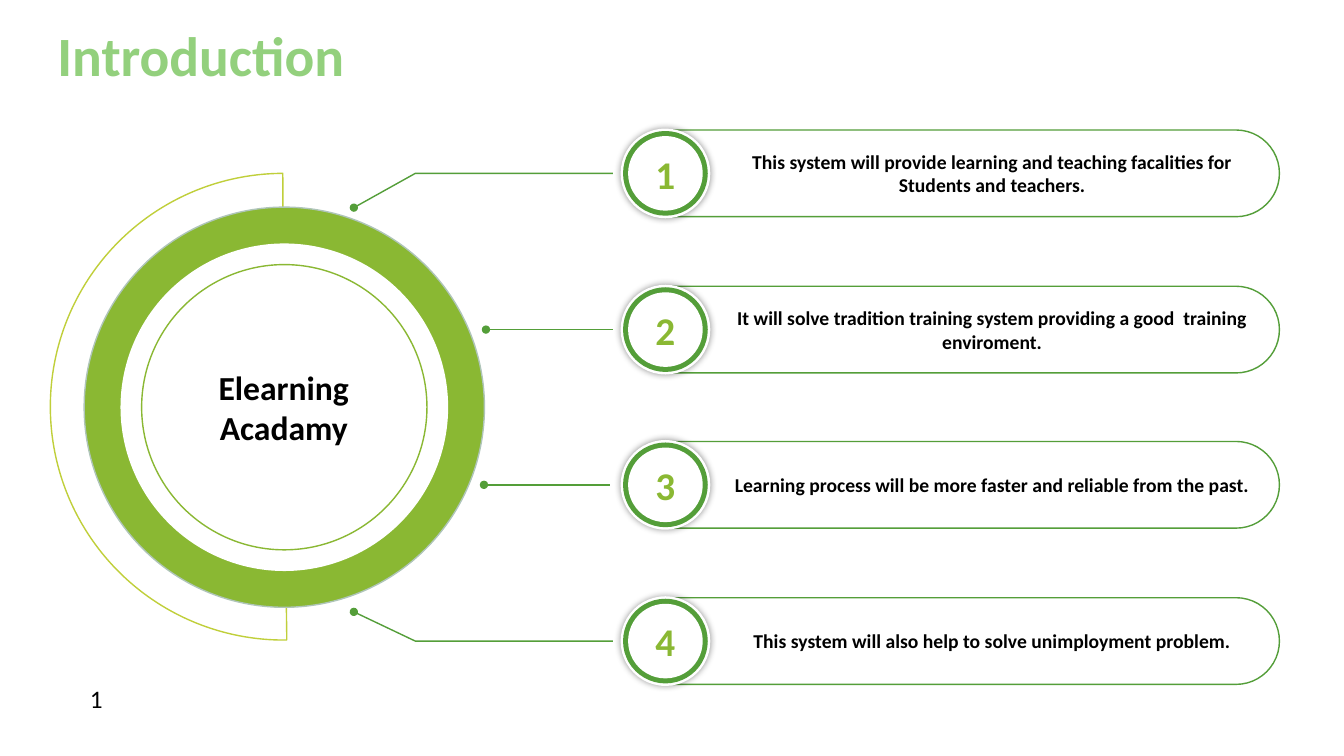
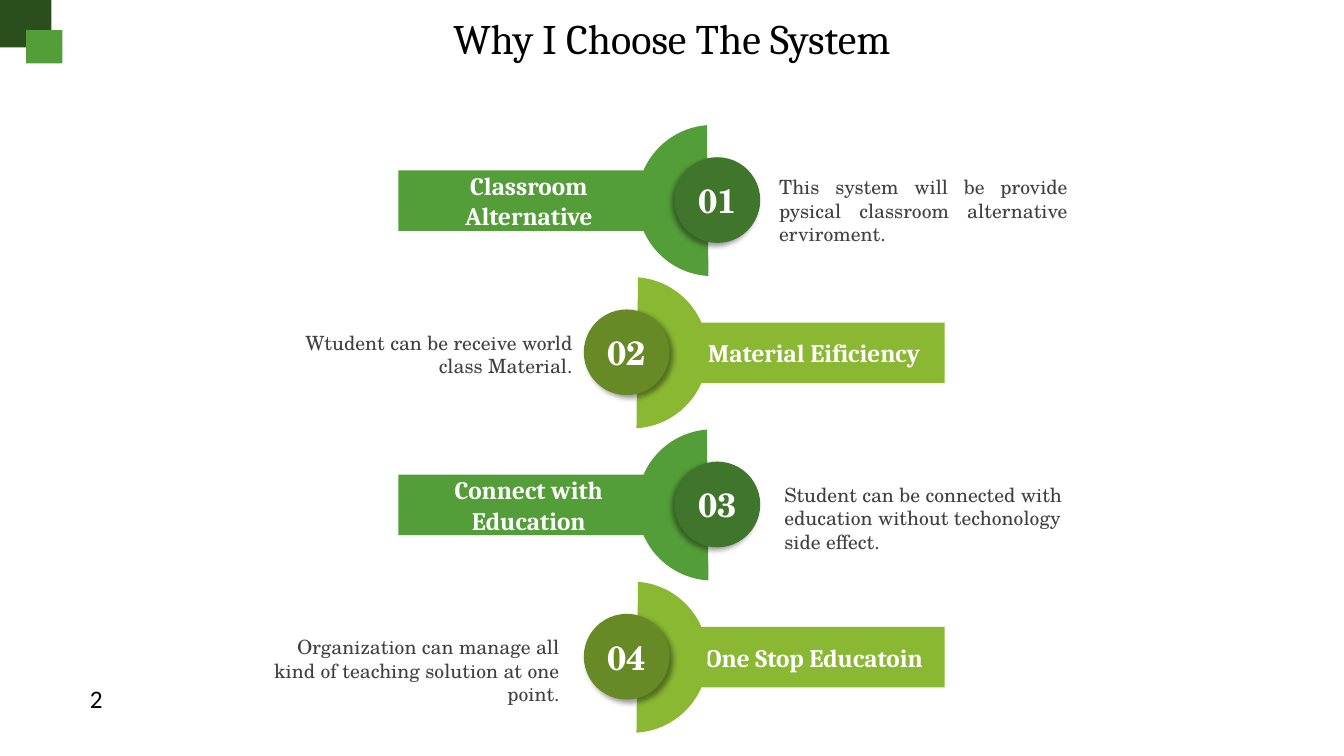
import lxml.etree
import pptx
import pptx.dml.color
import pptx.enum.shapes
import pptx.enum.text
import pptx.oxml.ns
import pptx.util

RGBColor = pptx.dml.color.RGBColor
SHAPE = pptx.enum.shapes.MSO_SHAPE
ALIGN = pptx.enum.text.PP_ALIGN
ANCHOR = pptx.enum.text.MSO_ANCHOR

WHITE = RGBColor(0xFF, 0xFF, 0xFF)
BLACK = RGBColor(0x00, 0x00, 0x00)
GREY = RGBColor(0x40, 0x40, 0x40)
GREEN = RGBColor(0x54, 0x9E, 0x39)
DARK_GREEN = RGBColor(0x3F, 0x76, 0x2B)
DEEP_GREEN = RGBColor(0x2A, 0x4F, 0x1C)
PALE_GREEN = RGBColor(0x93, 0xD0, 0x7D)
LIME = RGBColor(0x8A, 0xB8, 0x33)
DARK_LIME = RGBColor(0x67, 0x8A, 0x26)
YELLOW_GREEN = RGBColor(0xC0, 0xCF, 0x3A)
GREY_GREEN = RGBColor(0xAF, 0xC5, 0xB9)

SANS, SERIF, SCHOOL = "Calibri", "Cambria", "TeX Gyre Schola"
TITLE_ONLY = 5

GOALS = [
    "This system will provide learning and teaching facalities for Students and teachers.",
    "It will solve tradition training system providing a good  training enviroment.",
    "Learning process will be more faster and reliable from the past.",
    "This system will also help to solve unimployment problem.",
]
REASONS = [
    ("Classroom Alternative",
     "This system will be provide pysical classroom alternative erviroment.",
     (763, 169, 306, 57), ALIGN.JUSTIFY),
    ("Material Eificiency", "Wtudent can be receive world class Material.",
     (286, 323, 292, 57), ALIGN.RIGHT),
    ("Connect with Education",
     "Student can be connected with education without techonology side effect.",
     (768, 474, 322, 81), ALIGN.LEFT),
    ("One Stop Educatoin",
     "Organization can manage all kind of teaching solution at one point.",
     (262, 625, 303, 57), ALIGN.RIGHT),
]


def px(n):
    return pptx.util.Emu(n * 9144)


def box(*lengths):
    return [px(n) for n in lengths]


def write(tf, text, size=18, font=SANS, color=BLACK, bold=False,
          align=ALIGN.CENTER, anchor=ANCHOR.MIDDLE, spacing=None):
    tf.word_wrap = True
    tf.auto_size = pptx.enum.text.MSO_AUTO_SIZE.NONE
    tf.vertical_anchor = anchor
    for i, line in enumerate(text.split("\n")):
        p = tf.add_paragraph() if i else tf.paragraphs[0]
        p.alignment = align
        p.line_spacing = spacing
        r = p.add_run()
        r.text = line
        r.font.size = pptx.util.Pt(size)
        r.font.name = font
        r.font.bold = bold
        r.font.color.rgb = color


def add_child(parent, tag, **attrs):
    return lxml.etree.SubElement(parent, pptx.oxml.ns.qn(tag), attrs)


def add_shadow(sp, blur, dist=0, angle=0):
    effects = sp.element.spPr.find(pptx.oxml.ns.qn("a:effectLst"))
    shadow = add_child(effects, "a:outerShdw", blurRad=str(pptx.util.Pt(blur)),
                       dist=str(pptx.util.Pt(dist)), dir=str(angle * 60000),
                       algn="ctr", rotWithShape="0")
    add_child(add_child(shadow, "a:srgbClr", val=str(BLACK)), "a:alpha", val="40000")


def add_shape(slide, kind, at, fill=None, line=None, angles=()):
    sp = slide.shapes.add_shape(kind, *box(*at))
    sp.shadow.inherit = False
    if fill is None:
        sp.fill.background()
    else:
        sp.fill.solid()
        sp.fill.fore_color.rgb = fill
    if line is None:
        sp.line.fill.background()
    else:
        sp.line.color.rgb = line
        sp.line.width = pptx.util.Pt(1)
    for i, angle in enumerate(angles):
        sp.adjustments[i] = angle * 0.6
    return sp


def add_disc(slide, cx, cy, size, fill=None, line=None):
    at = (cx - size / 2, cy - size / 2, size, size)
    return add_shape(slide, SHAPE.OVAL, at, fill, line)


def add_text(slide, at, text, **style):
    tb = slide.shapes.add_textbox(*box(*at))
    write(tb.text_frame, text, **style)


def style_leader(sp):
    sp.line.color.rgb = GREEN
    sp.line.width = pptx.util.Pt(1)
    add_child(sp.line._get_or_add_ln(), "a:headEnd", type="oval")


def add_bent_leader(slide, start, *points):
    builder = slide.shapes.build_freeform(*box(*start), scale=1.0)
    builder.add_line_segments([box(*point) for point in points], close=False)
    sp = builder.convert_to_shape()
    sp.shadow.inherit = False
    sp.fill.background()
    style_leader(sp)


def add_straight_leader(slide, x1, x2, y):
    kind = pptx.enum.shapes.MSO_CONNECTOR.STRAIGHT
    cxn = slide.shapes.add_connector(kind, *box(x1, y, x2, y))
    style_leader(cxn)
    add_child(cxn.element.spPr, "a:effectLst")


def add_page_number(slide, number, width):
    table = slide.shapes.add_table(1, 1, *box(79, 674, width, 41)).table
    table.first_row = table.horz_banding = False
    cell = table.cell(0, 0)
    cell.fill.background()
    write_cell = cell.text_frame.paragraphs[0]
    r = write_cell.add_run()
    r.text = str(number)
    r.font.size = pptx.util.Pt(18)
    r.font.name = SANS
    r.font.color.rgb = BLACK


def add_slide(prs, title, at, number, number_width, **style):
    slide = prs.slides.add_slide(prs.slide_layouts[TITLE_ONLY])
    sp = slide.shapes.title
    sp.left, sp.top, sp.width, sp.height = box(*at)
    write(sp.text_frame, title, **style)
    add_page_number(slide, number, number_width)
    return slide


def add_hub(slide):
    cx, cy = 282, 404
    add_shape(slide, SHAPE.PIE, (50, 172, 463, 463), WHITE, YELLOW_GREEN, (89.25, 269.77))
    add_disc(slide, cx, cy, 397, LIME, GREY_GREEN)
    add_disc(slide, cx, cy, 325, WHITE)
    add_disc(slide, cx, cy, 283, None, LIME)
    add_text(slide, (153, 358, 257, 91), "Elearning\nAcadamy", size=24, bold=True)


def add_goal(slide, number, text, cy):
    sp = add_shape(slide, SHAPE.ROUNDED_RECTANGLE, (626, cy - 43, 643, 86), WHITE, GREEN)
    sp.adjustments[0] = 0.5
    sp.text_frame.margin_left = px(83)
    write(sp.text_frame, text, size=14, bold=True)
    cx = 660
    add_shadow(add_disc(slide, cx, cy, 89, WHITE), 5)
    add_disc(slide, cx, cy, 84, GREEN)
    sp = add_disc(slide, cx, cy, 74, WHITE)
    write(sp.text_frame, str(number), size=28, color=LIME, bold=True)


def add_reason(slide, i, label, text, at, align):
    dy = 151 * i
    if i % 2 == 0:
        bar_x, chord_x, disc_x, shadow_angle = 395, 632, 669, 135
        fill, disc_fill, angles = GREEN, DARK_GREEN, (93.31, 265.55)
    else:
        bar_x, chord_x, disc_x, shadow_angle = 678, 552, 579, 45
        fill, disc_fill, angles = LIME, DARK_LIME, (274.45, 86.69)
    bar = add_shape(slide, SHAPE.RECTANGLE, (bar_x, 169 + dy, 259, 60), fill)
    write(bar.text_frame, label, font=SERIF, color=WHITE, bold=True)
    add_shape(slide, SHAPE.CHORD, (chord_x, 124 + dy, 150, 150), fill, angles=angles)
    disc = add_shape(slide, SHAPE.OVAL, (disc_x, 156 + dy, 85, 85), disc_fill)
    add_shadow(disc, 4, 3, shadow_angle)
    write(disc.text_frame, f"{i + 1:02}", size=24, font=SCHOOL, color=WHITE, bold=True)
    add_text(slide, at, text, size=14, font=SCHOOL, color=GREY,
             align=align, anchor=ANCHOR.TOP)


def build_introduction(prs):
    slide = add_slide(prs, "Introduction", (47, 33, 1209, 58), 1, 26, size=39.6,
                      color=PALE_GREEN, bold=True, align=ALIGN.LEFT, spacing=0.7)
    add_hub(slide)
    rows = [172 + round(i * 464 / 3) for i in range(len(GOALS))]
    for number, (text, cy) in enumerate(zip(GOALS, rows), 1):
        add_goal(slide, number, text, cy)
    for start_y, cy in ((206, rows[0]), (607, rows[3])):
        add_bent_leader(slide, (351, start_y), (412, cy), (608, cy))
    add_straight_leader(slide, 482, 608, rows[1])
    add_straight_leader(slide, 480, 605, rows[2])


def build_reasons(prs):
    slide = add_slide(prs, "Why I Choose The System", (0, 7, 1333, 61), 2, 38,
                      size=30, font=SERIF, anchor=ANCHOR.TOP)
    for i, reason in enumerate(REASONS):
        add_reason(slide, i, *reason)
    add_shape(slide, SHAPE.RECTANGLE, (0, 0, 51, 47), DEEP_GREEN)
    add_shape(slide, SHAPE.RECTANGLE, (26, 30, 36, 33), GREEN)


def main():
    prs = pptx.Presentation()
    prs.slide_width, prs.slide_height = box(1333, 750)
    build_introduction(prs)
    build_reasons(prs)
    prs.save("out.pptx")


if __name__ == "__main__":
    main()
